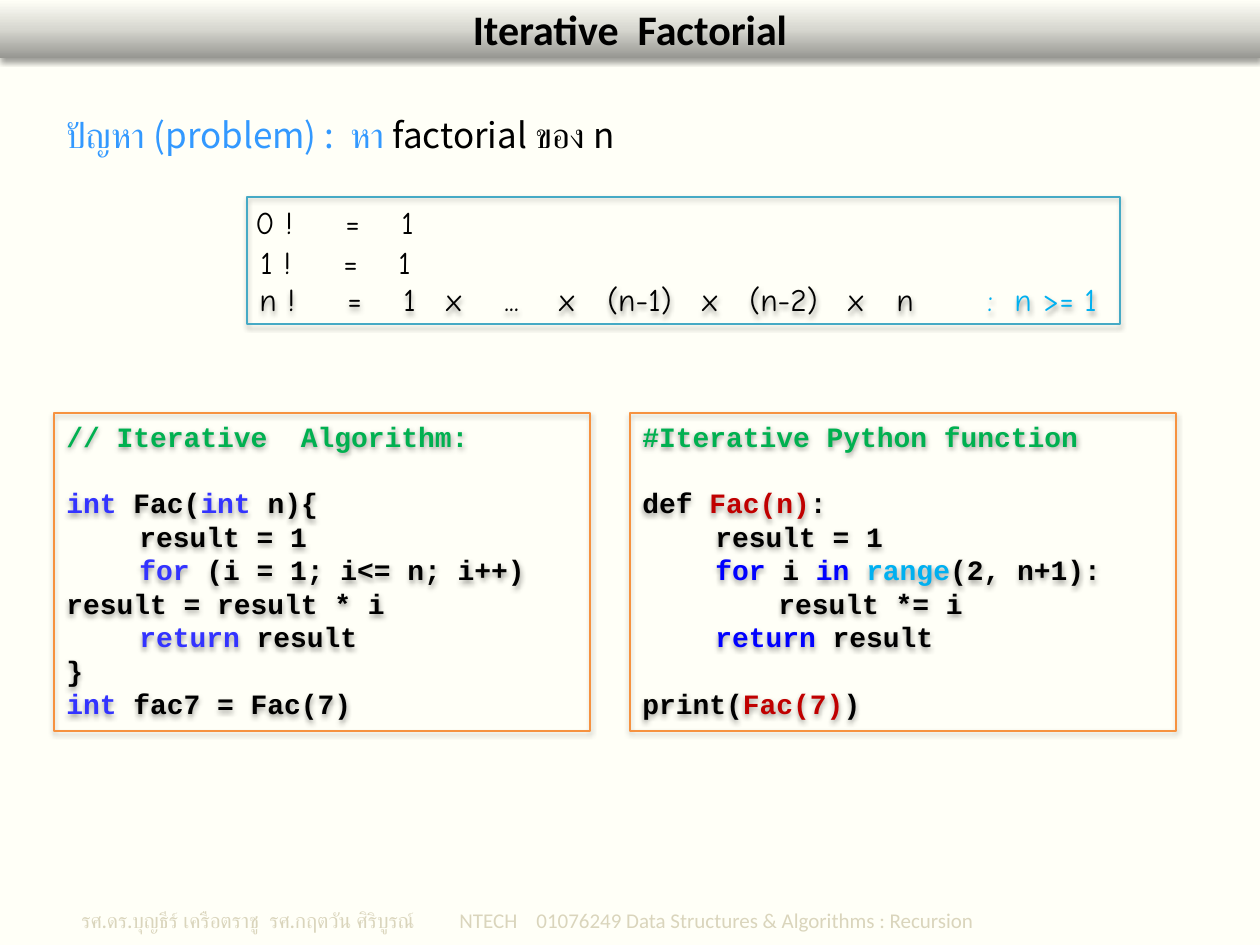
from dataclasses import dataclass

from lxml.etree import SubElement
from pptx import Presentation
from pptx.dml.color import RGBColor
from pptx.enum.shapes import MSO_SHAPE
from pptx.enum.text import MSO_ANCHOR, PP_ALIGN
from pptx.oxml.ns import qn
from pptx.shapes.autoshape import Shape
from pptx.slide import Slide
from pptx.text.text import _Paragraph
from pptx.util import Emu, Pt

PIXELS_PER_INCH = 126


@dataclass(frozen=True)
class Theme:
    background: str = "FFFFF7"
    bar_middle: str = "D7D7D0"
    bar_dark: str = "979792"
    text: str = "000000"
    heading: str = "3399FF"
    footer: str = "DAD5BC"
    comment: str = "00B050"
    keyword: str = "3333FF"
    python_keyword: str = "0000FF"
    function: str = "C00000"
    accent: str = "00B0F0"
    code_border: str = "F69240"
    formula_border: str = "46AAC5"
    sans: str = "Calibri"
    thai: str = "Lato"
    problem: str = "Noto Sans CJK JP"
    comic: str = "Comic Neue"
    mono: str = "Courier New"
    title_size: int = 24
    problem_size: int = 20
    formula_size: int = 18
    code_size: int = 16
    footer_size: int = 12
    code_pitch: float = 19.1


THEME = Theme()


@dataclass(frozen=True)
class Box:
    left: int
    top: int
    width: int
    height: int


@dataclass(frozen=True)
class Run:
    text: str
    color: str = THEME.text


@dataclass(frozen=True)
class Style:
    font: str
    size: int
    bold: bool = False


@dataclass(frozen=True)
class CodeLine:
    runs: tuple[Run, ...]
    indent: int = 0
    gap_before: bool = False


@dataclass(frozen=True)
class Formula:
    box: Box
    runs: tuple[Run, ...]
    stops: tuple[int, ...]
    framed: bool = False


CODE = Style(THEME.mono, THEME.code_size, True)
COMIC = Style(THEME.comic, THEME.formula_size)
INDENT = 73
DEEP_INDENT = 136

ALGORITHM = (
    CodeLine((Run("// Iterative  Algorithm:", THEME.comment),)),
    CodeLine((Run("int", THEME.keyword), Run(" Fac("), Run("int", THEME.keyword), Run(" n){")), gap_before=True),
    CodeLine((Run("result = 1"),), INDENT),
    CodeLine((Run("for", THEME.keyword), Run(" (i = 1; i<= n; i++)")), INDENT),
    CodeLine((Run("result = result * i"),)),
    CodeLine((Run("return", THEME.keyword), Run(" result")), INDENT),
    CodeLine((Run("}"),)),
    CodeLine((Run("int", THEME.keyword), Run(" fac7 = Fac(7)"))),
)
PYTHON = (
    CodeLine((Run("#Iterative Python function", THEME.comment),)),
    CodeLine((Run("def "), Run("Fac(n)", THEME.function), Run(":")), gap_before=True),
    CodeLine((Run("result = 1"),), INDENT),
    CodeLine((Run("for ", THEME.python_keyword), Run("i "), Run("in ", THEME.python_keyword),
              Run("range", THEME.accent), Run("(2, n+1):")), INDENT),
    CodeLine((Run("result *= i"),), DEEP_INDENT),
    CodeLine((Run("return", THEME.python_keyword), Run(" result")), INDENT),
    CodeLine((Run("print("), Run("Fac(7)", THEME.function), Run(")")), gap_before=True),
)
FORMULAS = (
    Formula(Box(247, 197, 873, 127),
            (Run("n !\t=\t1\tx\t...\tx\t(n-1)\tx\t(n-2)\tx\tn\t"), Run(":\tn >= 1", THEME.accent)),
            (88, 144, 187, 245, 300, 348, 443, 490, 589, 637, 728, 755), True),
    Formula(Box(243, 197, 188, 50), (Run("0 !\t=\t1"),), (90, 146)),
    Formula(Box(248, 237, 183, 50), (Run("1 !\t=\t1"),), (83, 138)),
)


def px(length: int) -> Emu:
    return Emu(round(length * 914400 / PIXELS_PER_INCH))


def place(shape: Shape, box: Box) -> None:
    shape.left, shape.top = px(box.left), px(box.top)
    shape.width, shape.height = px(box.width), px(box.height)


def add_run(paragraph: _Paragraph, run: Run, style: Style) -> None:
    item = paragraph.add_run()
    item.text = run.text
    item.font.name = style.font
    item.font.size = Pt(style.size)
    item.font.bold = style.bold
    item.font.color.rgb = RGBColor.from_string(run.color)


def set_tabs(paragraph: _Paragraph, stops: tuple[int, ...]) -> None:
    tab_list = SubElement(paragraph._p.get_or_add_pPr(), qn("a:tabLst"))
    for stop in stops:
        SubElement(tab_list, qn("a:tab"), pos=str(px(stop)), algn="l")


def add_shadow(shape: Shape) -> None:
    shape.shadow.inherit = False
    effects = shape._element.spPr.find(qn("a:effectLst"))
    shadow = SubElement(effects, qn("a:outerShdw"), blurRad="40000", dist="20000", dir="5400000", rotWithShape="0")
    color = SubElement(shadow, qn("a:srgbClr"), val=THEME.text)
    SubElement(color, qn("a:alpha"), val="38000")


def add_text_box(slide: Slide, box: Box) -> Shape:
    shape = slide.shapes.add_textbox(*map(px, (box.left, box.top, box.width, box.height)))
    shape.text_frame.word_wrap = True
    return shape


def add_frame(slide: Slide, box: Box, border: str) -> Shape:
    shape = slide.shapes.add_shape(MSO_SHAPE.RECTANGLE, *map(px, (box.left, box.top, box.width, box.height)))
    shape.fill.background()
    shape.line.color.rgb = RGBColor.from_string(border)
    shape.line.width = Pt(0.75)
    shape.text_frame.word_wrap = True
    add_shadow(shape)
    return shape


def add_title(slide: Slide) -> None:
    title = slide.shapes.title
    place(title, Box(0, 0, 1260, 58))
    title.fill.gradient()
    title.fill.gradient_angle = 90
    gradient = title._element.spPr.find(qn("a:gradFill"))
    stops = gradient.find(qn("a:gsLst"))
    stops.clear()
    for position, color in ((0, THEME.bar_dark), (50, THEME.bar_middle), (100, THEME.background)):
        stop = SubElement(stops, qn("a:gs"), pos=str(position * 1000))
        SubElement(stop, qn("a:srgbClr"), val=color)
    title.line.fill.background()
    add_shadow(title)
    title.text_frame.vertical_anchor = MSO_ANCHOR.MIDDLE
    paragraph = title.text_frame.paragraphs[0]
    paragraph.alignment = PP_ALIGN.CENTER
    add_run(paragraph, Run("Iterative  Factorial"), Style(THEME.sans, THEME.title_size, True))


def add_code(slide: Slide, box: Box, lines: tuple[CodeLine, ...]) -> None:
    frame = add_frame(slide, box, THEME.code_border).text_frame
    frame.vertical_anchor = MSO_ANCHOR.TOP
    for number, line in enumerate(lines):
        paragraph = frame.add_paragraph() if number else frame.paragraphs[0]
        paragraph.alignment = PP_ALIGN.LEFT
        paragraph.line_spacing = Pt(THEME.code_pitch)
        if line.gap_before:
            paragraph.space_before = Pt(THEME.code_pitch)
        paragraph._p.get_or_add_pPr().set("marL", str(px(line.indent)))
        for run in line.runs:
            add_run(paragraph, run, CODE)


def add_formula(slide: Slide, formula: Formula) -> None:
    shape = add_frame(slide, formula.box, THEME.formula_border) if formula.framed else add_text_box(slide, formula.box)
    shape.text_frame.vertical_anchor = MSO_ANCHOR.BOTTOM if formula.framed else MSO_ANCHOR.TOP
    paragraph = shape.text_frame.paragraphs[0]
    paragraph.alignment = PP_ALIGN.LEFT
    set_tabs(paragraph, formula.stops)
    for run in formula.runs:
        add_run(paragraph, run, COMIC)


def main() -> None:
    presentation = Presentation()
    presentation.slide_width, presentation.slide_height = px(1260), px(945)
    slide = presentation.slides.add_slide(presentation.slide_layouts[5])
    slide.background.fill.solid()
    slide.background.fill.fore_color.rgb = RGBColor.from_string(THEME.background)
    add_title(slide)

    footer = add_text_box(slide, Box(69, 901, 1191, 38)).text_frame.paragraphs[0]
    set_tabs(footer, (378, 455))
    add_run(footer, Run("รศ.ดร.บุญธีร์ เครือตราชู  รศ.กฤตวัน ศิริบูรณ์", THEME.footer), Style(THEME.thai, THEME.footer_size))
    add_run(footer, Run("\tNTECH\t01076249 Data Structures & Algorithms : Recursion", THEME.footer),
            Style(THEME.sans, THEME.footer_size))

    problem = add_text_box(slide, Box(54, 86, 932, 68)).text_frame.paragraphs[0]
    problem.line_spacing = 1.5
    for run in (Run("ปัญหา (problem) :  หา ", THEME.heading), Run("factorial ของ n")):
        add_run(problem, run, Style(THEME.problem, THEME.problem_size))

    add_code(slide, Box(54, 413, 536, 318), ALGORITHM)
    add_code(slide, Box(630, 413, 546, 318), PYTHON)
    for formula in FORMULAS:
        add_formula(slide, formula)
    presentation.save("out.pptx")


if __name__ == "__main__":
    main()
